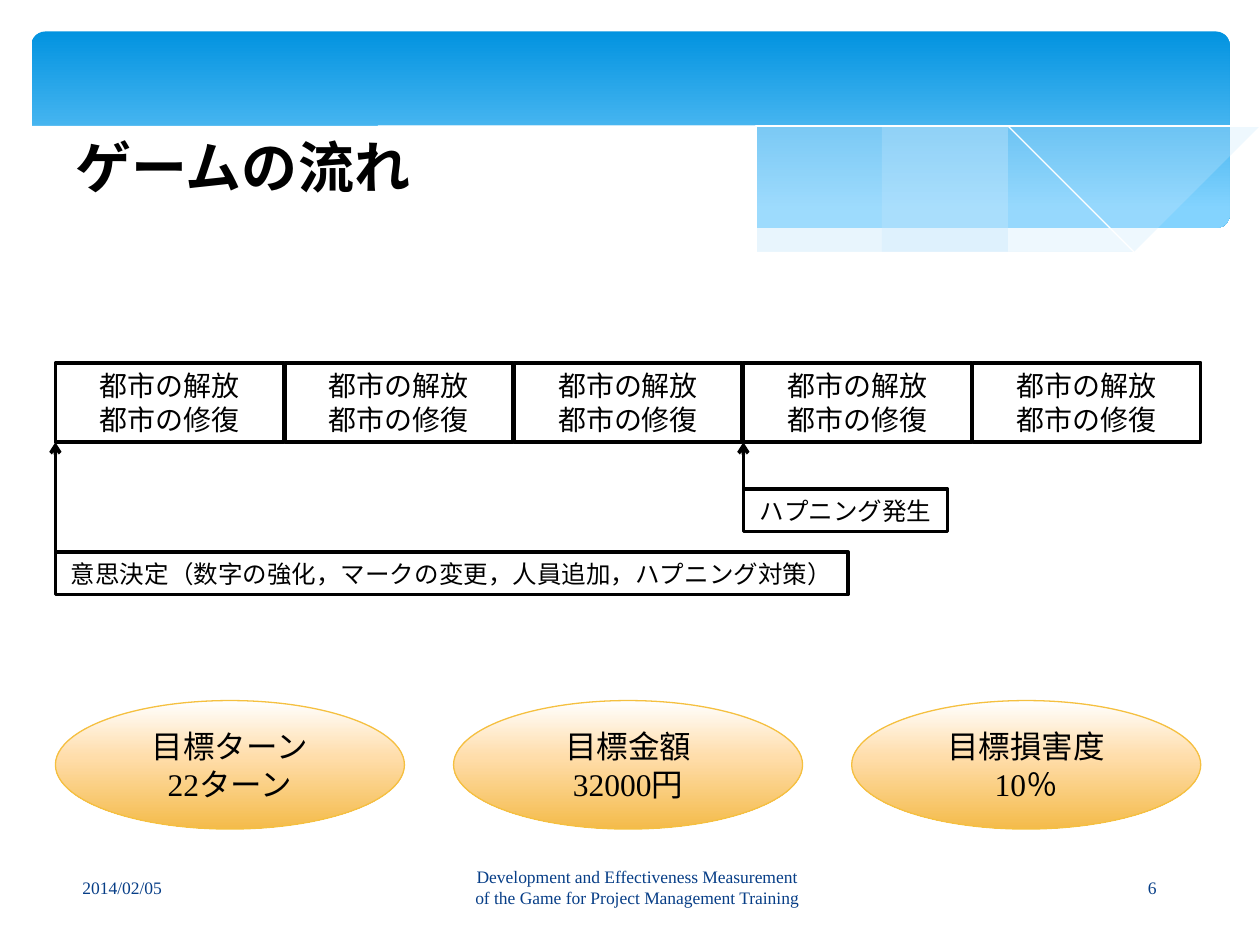
import pptx
import pptx.dml.color
import pptx.enum.shapes
import pptx.enum.text
import pptx.oxml
import pptx.oxml.ns
import pptx.util
from lxml import etree
from pptx.util import Inches

COLORS = {"black": "000000", "white": "FFFFFF", "footer": "073E87",
          "haze": "C6E7FC", "gold": "F5C040"}
SKY = [(0, "0293E0"), (90, "83D3FE")]
AMBER = [(0, "FFFFFF"), (44, "FFDDAA"), (100, "F4BB4A")]
CJK, SERIF, SANS = "Noto Sans CJK JP", "Times New Roman", "Arial"
SHAPE = pptx.enum.shapes.MSO_SHAPE
ALIGN = pptx.enum.text.PP_ALIGN
ANCHOR = pptx.enum.text.MSO_ANCHOR
qn = pptx.oxml.ns.qn


def rgb(name):
    return pptx.dml.color.RGBColor.from_string(COLORS[name])


def smooth(points, steps=5):
    """Points along a Catmull-Rom curve through the given points."""
    padded = [points[0], *points, points[-1]]
    curve = []
    for a, b, c, d in zip(padded, padded[1:], padded[2:], padded[3:]):
        for i in range(steps):
            t = i / steps
            curve.append(tuple(
                b[k] + t * (c[k] - a[k]) / 2
                + t**2 * (2 * a[k] - 5 * b[k] + 4 * c[k] - d[k]) / 2
                + t**3 * (3 * b[k] - a[k] - 3 * c[k] + d[k]) / 2
                for k in (0, 1)))
    return curve + [points[-1]]


class SlideBuilder:
    def __init__(self, prs):
        self.slide = prs.slides.add_slide(prs.slide_layouts[5])
        self.shapes = self.slide.shapes

    def set_text(self, s, lines, size, font, color="black", align=ALIGN.CENTER,
                 anchor=ANCHOR.MIDDLE, bold=False, wrap=True):
        tf = s.text_frame
        tf.word_wrap = wrap
        tf.auto_size = pptx.enum.text.MSO_AUTO_SIZE.NONE
        tf.vertical_anchor = anchor
        tf.text = "\n".join(lines)
        for p in tf.paragraphs:
            p.alignment = align
            p.font.size = pptx.util.Pt(size)
            p.font.name = font
            p.font.bold = bold
            p.font.color.rgb = rgb(color)
            ea = etree.SubElement(p._p.pPr.find(qn("a:defRPr")), qn("a:ea"))
            ea.set("typeface", CJK)

    def gradient(self, s, stops):
        """Fill from top to bottom with (percent, hex) stops."""
        s.fill.gradient()
        s.fill.gradient_angle = 270
        gs_list = s._element.spPr.find(".//" + qn("a:gsLst"))
        for old in list(gs_list):
            gs_list.remove(old)
        for percent, value in stops:
            gs = etree.SubElement(gs_list, qn("a:gs"), pos=str(percent * 1000))
            etree.SubElement(gs, qn("a:srgbClr"), val=value)

    def shape(self, kind, x, y, w, h, line=None, width=2.0):
        s = self.shapes.add_shape(kind, Inches(x), Inches(y), Inches(w), Inches(h))
        s.shadow.inherit = False
        s.fill.background()
        self.outline(s, line, width)
        return s

    def outline(self, s, color, width):
        if color is None:
            s.line.fill.background()
        else:
            s.line.color.rgb = rgb(color)
            s.line.width = pptx.util.Pt(width)

    def curve(self, points, fill=None, alpha=100, line=None):
        """Open curve, or a closed area when a fill is given."""
        start, *rest = points
        builder = self.shapes.build_freeform(*start, scale=Inches(1))
        builder.add_line_segments(rest, close=fill is not None)
        s = builder.convert_to_shape()
        s.shadow.inherit = False
        self.outline(s, line, 0)
        if fill is None:
            s.fill.background()
        else:
            s.fill.solid()
            s.fill.fore_color.rgb = rgb(fill)
            color = s._element.spPr.find(qn("a:solidFill"))[0]
            etree.SubElement(color, qn("a:alpha"), val=str(alpha * 1000))

    def box(self, x, y, w, h, lines, size):
        s = self.shape(SHAPE.RECTANGLE, x, y, w, h, "black")
        self.set_text(s, lines, size, CJK, wrap=len(lines) > 1)

    def oval(self, x, y, w, h, lines):
        s = self.shape(SHAPE.OVAL, x, y, w, h, "gold", 0.75)
        self.gradient(s, AMBER)
        self.set_text(s, lines, 18, SERIF)

    def arrow_up(self, x, bottom, top):
        s = self.shapes.add_connector(
            pptx.enum.shapes.MSO_CONNECTOR.STRAIGHT,
            Inches(x), Inches(bottom), Inches(x), Inches(top))
        self.outline(s, "black", 2)
        line = s._element.spPr.find(qn("a:ln"))
        etree.SubElement(line, qn("a:tailEnd"), type="arrow")
        etree.SubElement(s._element.spPr, qn("a:effectLst"))

    def footer(self, x, w, lines):
        s = self.shapes.add_textbox(Inches(x), Inches(6.84), Inches(w), Inches(0.4))
        self.set_text(s, lines, 10, SERIF, "footer")

    def title(self, text):
        s = self.shapes.title
        s.left, s.top, s.width, s.height = map(Inches, (0.5, 1, 5.08, 0.7))
        self.set_text(s, [text], 32, SANS, align=ALIGN.LEFT, anchor=ANCHOR.TOP, bold=True)
        self.shapes._spTree.append(s._element)  # in front of the waves

    def waves(self):
        banner = self.shape(SHAPE.ROUNDED_RECTANGLE, 0.25, 0.25, 9.51, 1.56)
        banner.adjustments[0] = 0.07
        self.gradient(banner, SKY)
        self.curve(
            smooth([(9.76, 0.94), (9.21, 1.04), (8.61, 1.18), (7.53, 1.43), (6.61, 1.6)])
            + smooth([(6.61, 1.6), (7.19, 1.67), (7.92, 1.72), (8.54, 1.7),
                      (9.05, 1.63), (9.49, 1.52), (9.76, 1.41)]),
            fill="haze", alpha=29)
        self.curve(
            smooth([(8.93, 1.67), (8.07, 1.54), (7.06, 1.34), (6.29, 1.16), (5.41, 0.97),
                    (4.65, 0.86), (3.8, 0.8), (3.28, 0.81), (2.86, 0.86)])
            + smooth([(2.86, 0.86), (3.62, 0.97), (4.49, 1.16), (5.66, 1.43), (6.5, 1.58),
                      (7.22, 1.68), (7.96, 1.73), (8.48, 1.72), (8.93, 1.67)]),
            fill="haze", alpha=40)
        self.curve(
            smooth([(3.09, 0.9), (3.44, 0.84), (4.16, 0.81), (4.89, 0.84), (5.82, 0.94),
                    (6.95, 1.14), (7.95, 1.36), (9.07, 1.66)]), line="white")
        self.curve(
            smooth([(6.13, 1.51), (6.95, 1.3), (7.76, 1.11), (8.66, 0.93),
                    (9.24, 0.84), (9.75, 0.8)]), line="white")
        self.curve(
            smooth([(9.77, 1.41), (9.3, 1.57), (8.75, 1.67), (8.09, 1.71), (7.44, 1.68),
                    (6.68, 1.6), (5.79, 1.44), (4.47, 1.14), (3.65, 0.96), (2.92, 0.85),
                    (2.3, 0.79), (1.77, 0.78), (1.19, 0.82), (0.76, 0.89),
                    (0.46, 0.98), (0.23, 1.07)])
            + [(0.23, 2.24), (9.77, 2.24)], fill="white")


def main():
    prs = pptx.Presentation()
    prs.slide_width, prs.slide_height = Inches(10), Inches(7.5)
    b = SlideBuilder(prs)
    b.waves()
    b.footer(0.35, 1.24, ["2014/02/05"])
    b.footer(1.63, 6.85, ["Development and Effectiveness Measurement",
                          "of the Game for Project Management Training"])
    b.footer(8.51, 1.27, ["6"])
    b.title("ゲームの流れ")

    left, turn_pitch, goal_pitch = 0.44, 1.82, 3.16
    for i in range(5):
        b.box(left + i * turn_pitch, 2.88, 1.81, 0.63, ["都市の解放", "都市の修復"], 16)
    happening = left + 3 * turn_pitch
    b.box(left, 4.38, 6.29, 0.34,
          ["意思決定（数字の強化，マークの変更，人員追加，ハプニング対策）"], 14)
    b.arrow_up(left, 4.55, 3.51)
    b.arrow_up(happening, 3.88, 3.51)
    b.box(happening, 3.88, 1.62, 0.34, ["ハプニング発生"], 14)

    goals = [("目標ターン", "22ターン"), ("目標金額", "32000円"), ("目標損害度", "10％")]
    for i, goal in enumerate(goals):
        b.oval(left + i * goal_pitch, 5.56, 2.77, 1.02, goal)
    prs.save("out.pptx")


if __name__ == "__main__":
    main()
